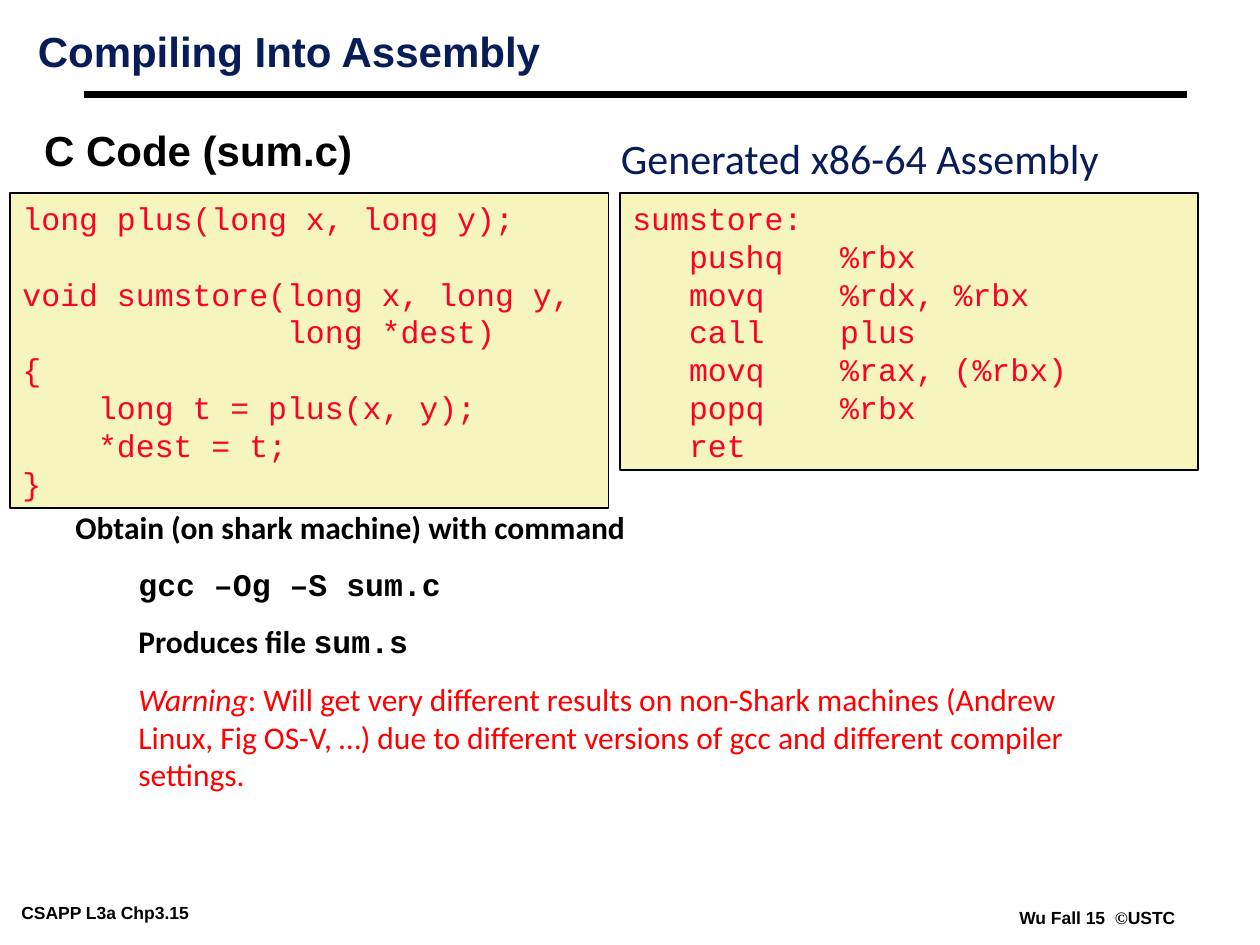
"""Build the slide that compiles a C function into x86-64 assembly."""
from dataclasses import dataclass

from lxml import etree
from pptx import Presentation, util as u
from pptx.dml import color
from pptx.enum import shapes, text
from pptx.oxml import ns


@dataclass(frozen=True)
class Theme:
    navy: str = "081D58"
    black: str = "000000"
    code: str = "FC0128"
    warning: str = "FF0000"
    panel: str = "F6F5BD"
    heading_size: int = 24
    text_size: int = 18
    footer_size: int = 10
    heading_font: str = "Arial"
    text_font: str = "Calibri"
    code_font: str = "Courier New"
    symbol_font: str = "Times New Roman"


THEME = Theme()

C_CODE = """long plus(long x, long y);

void sumstore(long x, long y,
              long *dest)
{
    long t = plus(x, y);
    *dest = t;
}"""

ASSEMBLY = """sumstore:
   pushq   %rbx
   movq    %rdx, %rbx
   call    plus
   movq    %rax, (%rbx)
   popq    %rbx
   ret"""


def style(name, size, rgb, **extra):
    """Return the font values of a span."""
    return {"name": name, "size": u.Pt(size), "rgb": rgb, **extra}


def add_span(para, content, values):
    """Append a run and set its font from a dict."""
    span = para.add_run()
    span.text = content
    for key, value in values.items():
        if key == "rgb":
            span.font.color.rgb = color.RGBColor.from_string(value)
        else:
            setattr(span.font, key, value)


def fill_frame(frame, paragraphs, inset=(0.1, 0.05)):
    """Write (spans, format values) paragraphs into a text frame."""
    across, down = map(u.Inches, inset)
    settings = {
        "word_wrap": True, "auto_size": text.MSO_AUTO_SIZE.NONE,
        "vertical_anchor": text.MSO_ANCHOR.TOP,
        "margin_left": across, "margin_right": across,
        "margin_top": down, "margin_bottom": down,
    }
    for key, value in settings.items():
        setattr(frame, key, value)
    for index, (spans, values) in enumerate(paragraphs):
        para = frame.add_paragraph() if index else frame.paragraphs[0]
        layout = {"alignment": text.PP_ALIGN.LEFT, "space_before": u.Pt(0), **values}
        for key, value in layout.items():
            setattr(para, key, value)
        for content, font in spans:
            add_span(para, content, font)


def place(box, area):
    """Move and size a shape to an area in inches."""
    for key, value in zip(("left", "top", "width", "height"), area):
        setattr(box, key, u.Inches(value))


def add_text(page, area, paragraphs, **options):
    """Add a text box."""
    box = page.shapes.add_textbox(*map(u.Inches, area))
    fill_frame(box.text_frame, paragraphs, **options)


def set_placeholder(box, area, content, rgb, spacing, **options):
    """Place a heading in a template placeholder without a bullet."""
    place(box, area)
    font = style(THEME.heading_font, THEME.heading_size, rgb, bold=True)
    fill_frame(box.text_frame, [([(content, font)], {"line_spacing": spacing})], **options)
    props = box.text_frame.paragraphs[0]._p.get_or_add_pPr()
    for key in ("marL", "indent"):
        props.set(key, "0")
    etree.SubElement(props, ns.qn("a:buNone"))


def add_code(page, area, code):
    """Add a bordered code panel."""
    box = page.shapes.add_shape(shapes.MSO_SHAPE.RECTANGLE, *map(u.Inches, area))
    box.shadow.inherit = False
    box.fill.solid()
    box.fill.fore_color.rgb = color.RGBColor.from_string(THEME.panel)
    box.line.color.rgb = color.RGBColor.from_string(THEME.black)
    box.line.width = u.Pt(1)
    font = style(THEME.code_font, THEME.text_size, THEME.code)
    fill_frame(box.text_frame, [([(line, font)], {}) for line in code.split("\n")])


def add_rule(page, left, right, top):
    """Add the heavy line under the title."""
    rule = page.shapes.add_connector(
        shapes.MSO_CONNECTOR.STRAIGHT, *map(u.Inches, (left, top, right, top)))
    rule.line.color.rgb = color.RGBColor.from_string(THEME.black)
    rule.line.width = u.Pt(4.5)
    etree.SubElement(rule._element.spPr, ns.qn("a:effectLst"))


def add_footers(page):
    """Add the course and copyright lines."""
    bold = style(THEME.heading_font, THEME.footer_size, THEME.black, bold=True)
    symbol = {**bold, "name": THEME.symbol_font}
    inset = (0.07, 0.03)
    add_text(page, (0.1, 7.13, 2.02, 0.22), [([("CSAPP L3a Chp3.15", bold)], {})], inset=inset)
    credit = [("Wu Fall 15  ", bold), ("©", symbol), ("USTC", bold)]
    add_text(page, (8.02, 7.17, 1.5, 0.22), [(credit, {})], inset=inset)


def add_notes_on_command(page):
    """Add the compiler command, its result and the warning."""
    bold = style(THEME.text_font, THEME.text_size, THEME.black, bold=True)
    command = {**bold, "name": THEME.code_font}
    alert = style(THEME.text_font, THEME.text_size, THEME.warning)
    warning = (": Will get very different results on non-Shark machines (Andrew Linux, "
               "Fig OS-V, …) due to different versions of gcc and different compiler settings.")
    details = [
        [("gcc –Og –S sum.c", command)],
        [("Produces file ", bold), ("sum.s", command)],
        [("Warning", {**alert, "italic": True}), (warning, alert)],
    ]
    nested = {"level": 1, "space_before": u.Pt(11.2)}
    intro = ([("Obtain (on shark machine) with command", bold)], {})
    add_text(page, (0.5, 3.98, 8.17, 2.82), [intro] + [(spans, nested) for spans in details])


def main():
    """Build and save the deck."""
    deck = Presentation()
    deck.slide_width, deck.slide_height = u.Inches(10), u.Inches(7.5)
    page = deck.slides.add_slide(deck.slide_layouts[1])
    add_footers(page)
    add_rule(page, 0.67, 9.42, 0.75)
    set_placeholder(page.shapes.title, (0.23, 0.23, 7.49, 0.61), "Compiling Into Assembly",
                    THEME.navy, 0.87, inset=(0.07, 0.03))
    set_placeholder(page.placeholders[1], (0.25, 1.03, 2.67, 0.97), "C Code (sum.c)",
                    THEME.black, 0.75)
    add_code(page, (0.08, 1.53, 4.75, 2.5), C_CODE)
    heading = style(THEME.text_font, THEME.heading_size, THEME.navy)
    add_text(page, (4.83, 1, 4.5, 0.45), [([("Generated x86-64 Assembly", heading)], {})])
    add_code(page, (4.92, 1.53, 4.59, 2.2), ASSEMBLY)
    add_notes_on_command(page)
    deck.save("out.pptx")


if __name__ == "__main__":
    main()
